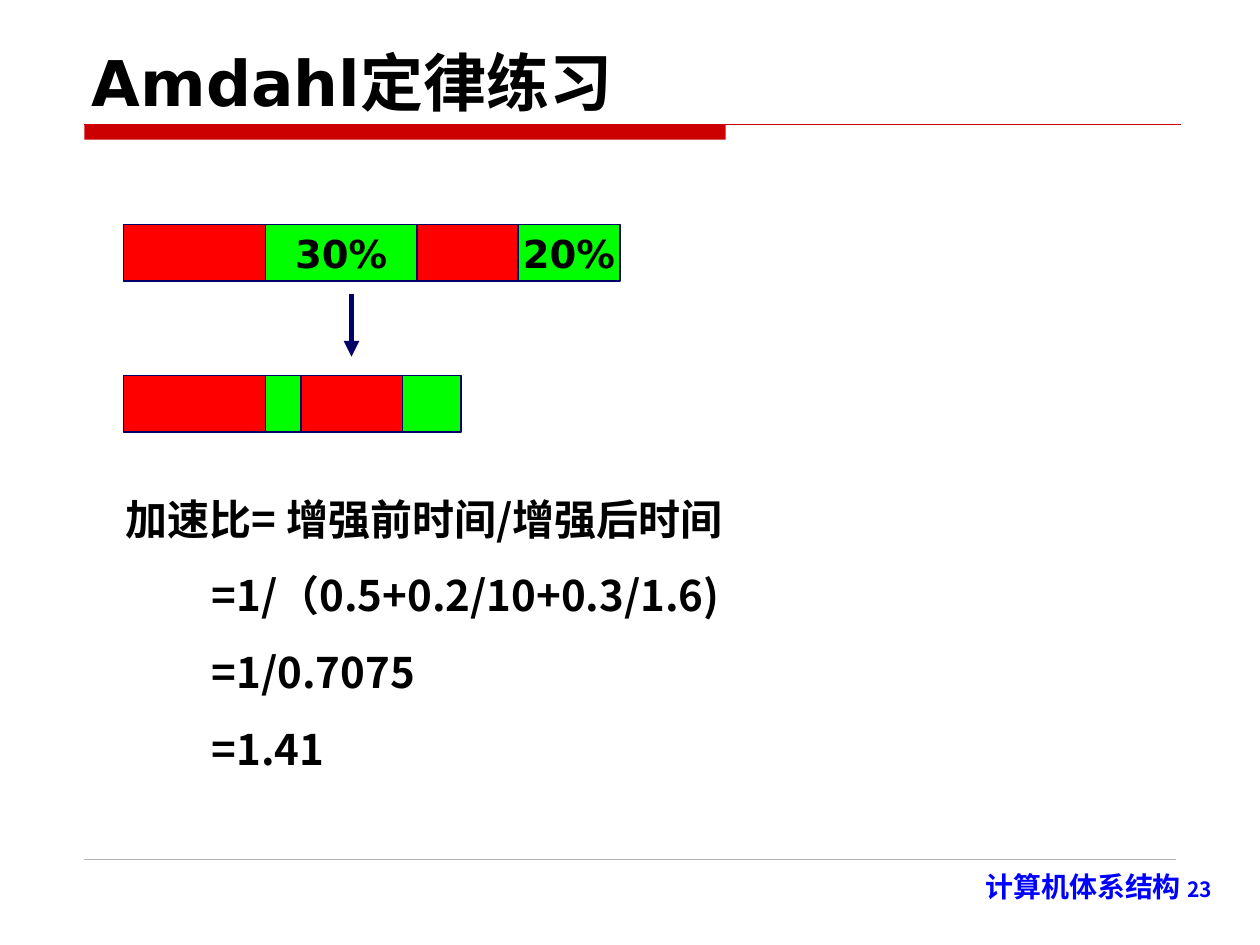
from dataclasses import dataclass
from itertools import accumulate

from lxml.etree import SubElement
from pptx import Presentation
from pptx.dml.color import RGBColor
from pptx.enum.shapes import MSO_CONNECTOR, MSO_SHAPE
from pptx.enum.text import MSO_ANCHOR, PP_ALIGN
from pptx.oxml.ns import qn
from pptx.util import Pt

COLORS = {
    "accent": "CC0000",
    "rule": "B2B2B2",
    "outline": "000066",
    "unchanged": "FF0000",
    "enhanced": "00FF00",
    "text": "000000",
    "footer": "0000FF",
}
LATIN_FONT = "DejaVu Sans"
CHINESE_FONT = "Noto Sans CJK SC"
BAR_LEFT = 70.6
BAR_HEIGHT = 32.4


@dataclass
class Segment:
    width: float
    color: str
    label: str = ""


@dataclass
class TimeBar:
    top: float
    segments: list[Segment]


TIME_BARS = [
    TimeBar(128.2, [
        Segment(81.2, "unchanged"),
        Segment(86.4, "enhanced", "30%"),
        Segment(57.8, "unchanged"),
        Segment(58.2, "enhanced", "20%"),
    ]),
    TimeBar(214.6, [
        Segment(81.2, "unchanged"),
        Segment(20.4, "enhanced"),
        Segment(57.8, "unchanged"),
        Segment(33.6, "enhanced"),
    ]),
]
FORMULA_LINES = [
    "加速比= 增强前时间/增强后时间",
    "=1/（0.5+0.2/10+0.3/1.6)",
    "=1/0.7075",
    "=1.41",
]


def rgb(name: str) -> RGBColor:
    return RGBColor.from_string(COLORS[name])


def format_run(run, size: float, latin: str, color: str = "text") -> None:
    run.font.size = Pt(size)
    run.font.bold = True
    run.font.name = latin
    run.font.color.rgb = rgb(color)
    SubElement(run._r.get_or_add_rPr(), qn("a:ea"), typeface=CHINESE_FONT)


def add_text_frame(slide, left: float, top: float, width: float, height: float):
    text_frame = slide.shapes.add_textbox(Pt(left), Pt(top), Pt(width), Pt(height)).text_frame
    text_frame.word_wrap = True
    return text_frame


def add_rectangle(slide, left: float, top: float, width: float, height: float, color: str):
    shape = slide.shapes.add_shape(
        MSO_SHAPE.RECTANGLE, Pt(left), Pt(top), Pt(width), Pt(height))
    shape.shadow.inherit = False
    shape.fill.solid()
    shape.fill.fore_color.rgb = rgb(color)
    shape.line.fill.background()
    return shape


def add_line(slide, start: tuple[float, float], end: tuple[float, float],
             color: str, weight: float, arrow: bool = False) -> None:
    connector = slide.shapes.add_connector(
        MSO_CONNECTOR.STRAIGHT, *(Pt(value) for value in start + end))
    connector.line.color.rgb = rgb(color)
    connector.line.width = Pt(weight)
    if arrow:
        SubElement(connector.line._get_or_add_ln(), qn("a:tailEnd"), type="triangle")
    SubElement(connector._element.spPr, qn("a:effectLst"))


def add_time_bar(slide, bar: TimeBar) -> None:
    lefts = accumulate((segment.width for segment in bar.segments), initial=BAR_LEFT)
    for left, segment in zip(lefts, bar.segments):
        shape = add_rectangle(slide, left, bar.top, segment.width, BAR_HEIGHT, segment.color)
        shape.line.color.rgb = rgb("outline")
        shape.line.width = Pt(1)
        if segment.label:
            text_frame = shape.text_frame
            text_frame.text = segment.label
            text_frame.word_wrap = False
            text_frame.vertical_anchor = MSO_ANCHOR.MIDDLE
            paragraph = text_frame.paragraphs[0]
            paragraph.alignment = PP_ALIGN.CENTER
            format_run(paragraph.runs[0], 22, LATIN_FONT)


def add_title(slide) -> None:
    add_rectangle(slide, 48.2, 71.3, 366.5, 8.6, "accent")
    add_line(slide, (48.2, 71.3), (674.6, 71.3), "accent", 0.75)
    text_frame = add_text_frame(slide, 45.4, 18, 604, 53.4)
    text_frame.vertical_anchor = MSO_ANCHOR.BOTTOM
    text_frame.text = "Amdahl定律练习"
    format_run(text_frame.paragraphs[0].runs[0], 36, LATIN_FONT)


def add_formula(slide) -> None:
    text_frame = add_text_frame(slide, 64.8, 278.4, 499, 167.8)
    text_frame.text = "\n".join(FORMULA_LINES)
    for index, paragraph in enumerate(text_frame.paragraphs):
        paragraph.line_spacing = Pt(28.8)
        if index:
            paragraph.space_before = Pt(15)
            paragraph._p.get_or_add_pPr().set("marL", str(Pt(49)))
        format_run(paragraph.runs[0], 24, CHINESE_FONT)


def add_footer(slide) -> None:
    add_line(slide, (48.2, 491), (671.8, 491), "rule", 0.25)
    text_frame = add_text_frame(slide, 523.4, 493.6, 176.4, 31)
    paragraph = text_frame.paragraphs[0]
    paragraph.alignment = PP_ALIGN.RIGHT
    for text, size in (("计算机体系结构 ", 16), ("23", 12)):
        run = paragraph.add_run()
        run.text = text
        format_run(run, size, CHINESE_FONT, "footer")


def main() -> None:
    presentation = Presentation()
    presentation.slide_width = Pt(720)
    presentation.slide_height = Pt(540)
    slide = presentation.slides.add_slide(presentation.slide_layouts[6])
    add_title(slide)
    add_line(slide, (200.9, 167.8), (200.9, 203.8), "outline", 3, arrow=True)
    for bar in TIME_BARS:
        add_time_bar(slide, bar)
    add_formula(slide)
    add_footer(slide)
    presentation.save("out.pptx")


if __name__ == "__main__":
    main()
